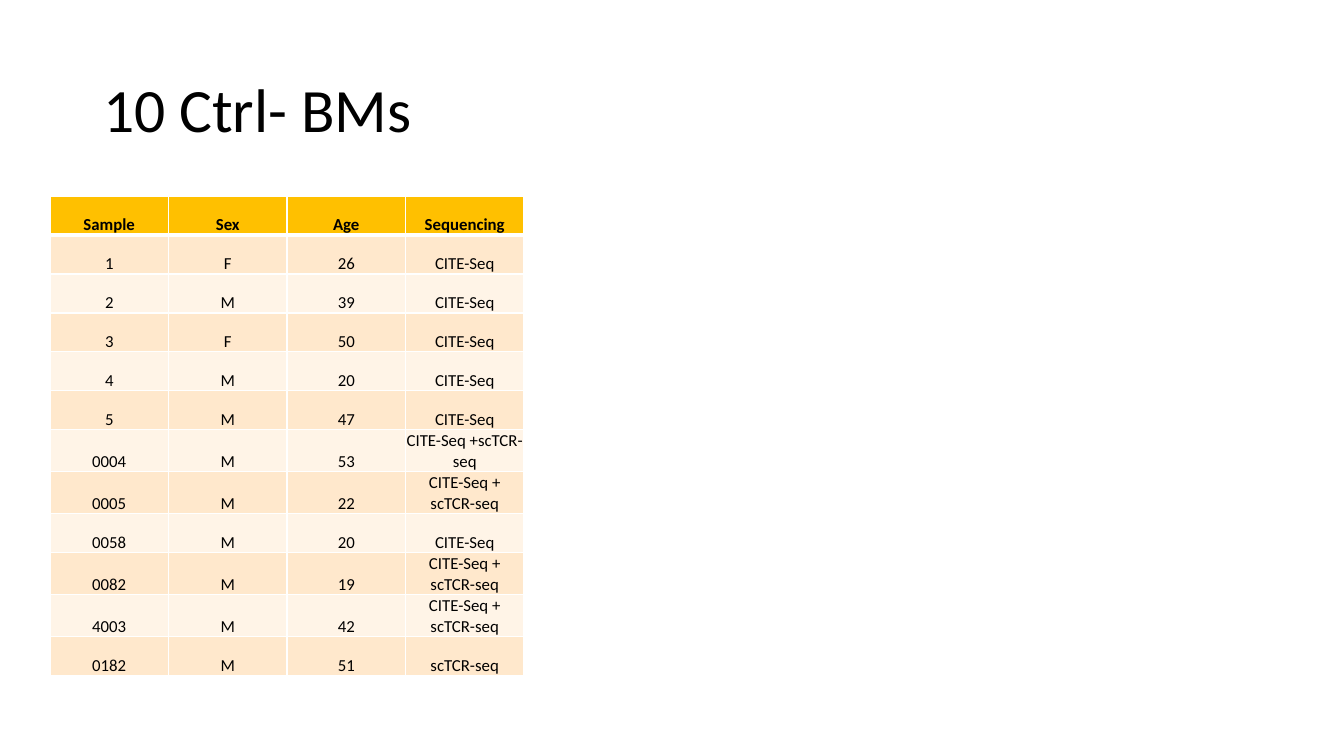
from dataclasses import astuple, dataclass

from lxml.etree import SubElement
from pptx import Presentation
from pptx.dml.color import RGBColor
from pptx.enum.text import MSO_ANCHOR, MSO_AUTO_SIZE, PP_ALIGN
from pptx.oxml.ns import qn
from pptx.slide import Slide
from pptx.table import _Cell
from pptx.text.text import _Paragraph
from pptx.util import Emu, Pt

EMU_PER_PX = 914400 / 100.8
FONT = "Calibri"
BLACK = RGBColor(0x00, 0x00, 0x00)
WHITE = RGBColor(0xFF, 0xFF, 0xFF)
AMBER = RGBColor(0xFF, 0xC0, 0x00)
PEACH = RGBColor(0xFF, 0xE8, 0xCC)
CREAM = RGBColor(0xFF, 0xF4, 0xE7)
THIN, THICK = Pt(1), Pt(3)


@dataclass(frozen=True)
class Sample:
    name: str
    sex: str
    age: str
    sequencing: str


HEADER = Sample("Sample", "Sex", "Age", "Sequencing")
SAMPLES = [
    Sample("1", "F", "26", "CITE-Seq"),
    Sample("2", "M", "39", "CITE-Seq"),
    Sample("3", "F", "50", "CITE-Seq"),
    Sample("4", "M", "20", "CITE-Seq"),
    Sample("5", "M", "47", "CITE-Seq"),
    Sample("0004", "M", "53", "CITE-Seq +scTCR-seq"),
    Sample("0005", "M", "22", "CITE-Seq + scTCR-seq"),
    Sample("0058", "M", "20", "CITE-Seq"),
    Sample("0082", "M", "19", "CITE-Seq + scTCR-seq"),
    Sample("4003", "M", "42", "CITE-Seq + scTCR-seq"),
    Sample("0182", "M", "51", "scTCR-seq"),
]


def px(length: int) -> Emu:
    return Emu(round(length * EMU_PER_PX))


def add_run(paragraph: _Paragraph, text: str, size: int, bold: bool = False) -> None:
    run = paragraph.add_run()
    run.text = text
    run.font.name = FONT
    run.font.size = Pt(size)
    run.font.bold = bold
    run.font.color.rgb = BLACK


def draw_borders(cell: _Cell, top: int, bottom: int) -> None:
    properties = cell._tc.get_or_add_tcPr()
    edges = {"a:lnL": THIN, "a:lnR": THIN, "a:lnT": top, "a:lnB": bottom}
    for position, (edge, width) in enumerate(edges.items()):
        line = properties.makeelement(qn(edge), {"w": str(width)})
        fill = SubElement(line, qn("a:solidFill"))
        SubElement(fill, qn("a:srgbClr"), val=str(WHITE))
        properties.insert(position, line)


def fill_cell(cell: _Cell, text: str, row: int) -> None:
    is_header = row == 0
    cell.margin_left = cell.margin_right = cell.margin_top = px(1)
    cell.margin_bottom = 0
    cell.vertical_anchor = MSO_ANCHOR.BOTTOM
    cell.fill.solid()
    cell.fill.fore_color.rgb = AMBER if is_header else PEACH if row % 2 else CREAM
    draw_borders(cell, THICK if row == 1 else THIN, THICK if is_header else THIN)
    paragraph = cell.text_frame.paragraphs[0]
    paragraph.alignment = PP_ALIGN.CENTER
    add_run(paragraph, text, 12, is_header)


def add_title(slide: Slide, text: str) -> None:
    heading = slide.shapes.title
    heading.left, heading.top = px(93), px(40)
    heading.width, heading.height = px(1159), px(146)
    frame = heading.text_frame
    frame.auto_size = MSO_AUTO_SIZE.NONE
    frame.vertical_anchor = MSO_ANCHOR.MIDDLE
    paragraph = frame.paragraphs[0]
    paragraph.alignment = PP_ALIGN.LEFT
    paragraph.line_spacing = 0.9
    add_run(paragraph, text, 44)


def add_sample_table(slide: Slide, samples: list[Sample]) -> None:
    records = [astuple(sample) for sample in samples]
    table = slide.shapes.add_table(
        len(records), len(records[0]), px(50), px(196), px(474), px(39 * len(records))
    ).table
    for row, record in enumerate(records):
        for column, text in enumerate(record):
            fill_cell(table.cell(row, column), text, row)


def main() -> None:
    presentation = Presentation()
    presentation.slide_width, presentation.slide_height = px(1344), px(756)
    slide = presentation.slides.add_slide(presentation.slide_layouts[5])
    add_title(slide, "10 Ctrl- BMs")
    add_sample_table(slide, [HEADER, *SAMPLES])
    presentation.save("out.pptx")


if __name__ == "__main__":
    main()
